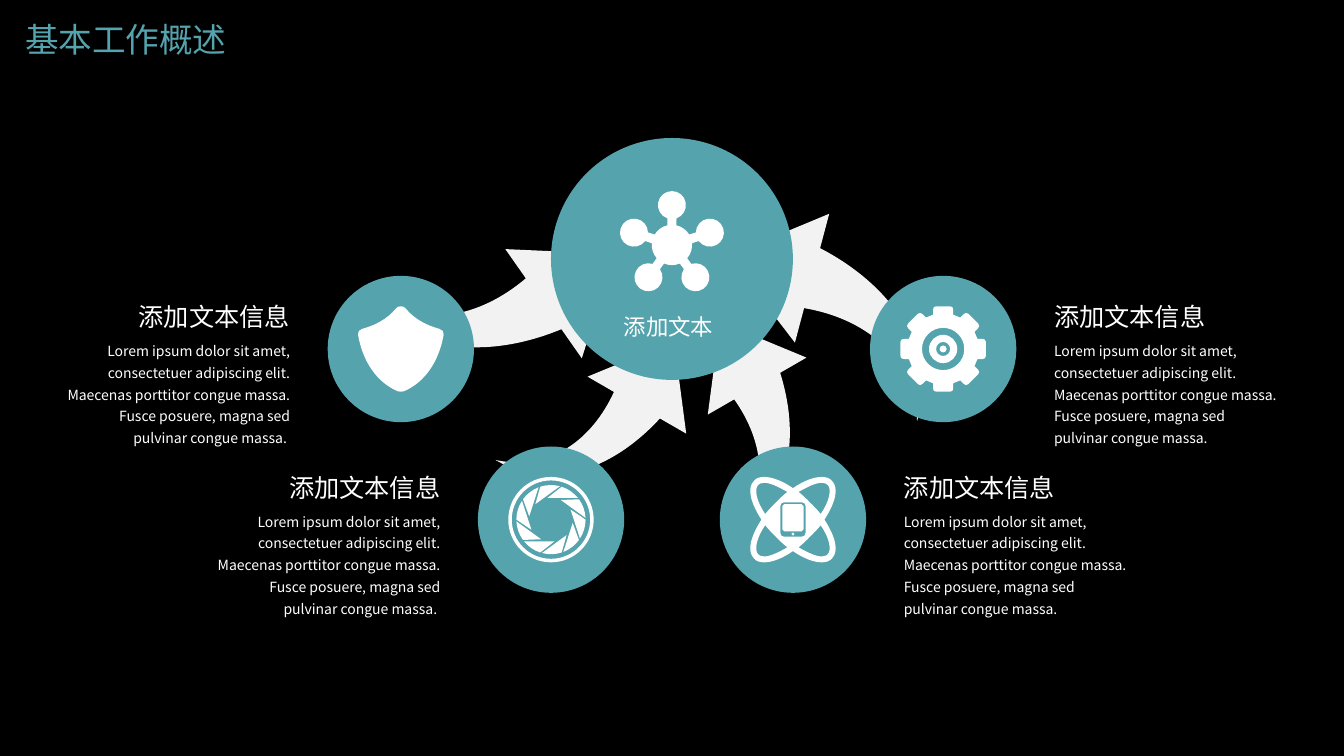
from math import ceil, cos, radians, sin, tan

from lxml import etree
from pptx import Presentation
from pptx.dml.color import RGBColor
from pptx.enum import shapes, text
from pptx.oxml import ns
from pptx.util import Pt

# Content
TITLE = "基本工作概述"
HUB_LABEL = "添加文本"
HEADING = "添加文本信息"
BODY = ("Lorem ipsum dolor sit amet, consectetuer adipiscing elit. Maecenas porttitor "
        "congue massa. Fusce posuere, magna sed pulvinar congue massa.")

FONT = "Noto Sans CJK SC"
BLACK = RGBColor(0x00, 0x00, 0x00)
WHITE = RGBColor(0xFF, 0xFF, 0xFF)
TEAL = RGBColor(0x55, 0xA3, 0xAD)
PALE = RGBColor(0xF2, 0xF2, 0xF2)

# Layout in points
WIDTH, HEIGHT = 960, 540
MIDDLE = WIDTH / 2
HUB_Y, HUB_SIZE, HUB_ICON_Y = 185, 172.8, 175
NODE_SIZE, TEXT_GAP = 104.5, 75.6
UPPER_Y, LOWER_Y = 249.3, 371.2
UPPER_SHIFT, LOWER_SHIFT = 193.7, 86.4
ARROWS = [  # centre x, centre y, scale, rotation
    (364, 214.6, 1.17, 55), (593.6, 218.9, 1.17, 284.9),
    (435.2, 296.3, 1, 30), (536.8, 296.3, 1, 330)]

# Outlines around (0, 0): a start, then points (2 numbers) or curves (6 numbers)
ARROW = [(13.75, -68.8), (-27, -15.8), (-5.2, -15.8), (-1.8, 20.6, -15.5, 56, -54.2, 68.6),
         (-4.8, 68.8, 23, 27.8, 32.7, -15.8), (54.4, -15.8)]
SHIELD_HALF = [(0, -30.5), (1.5, -30.5, 2.8, -30, 3.6, -28.8), (9.4, -21.6, 18, -17, 27.4, -14.4),
               (29.5, -14, 31, -12.2, 30.6, -10.4), (27.4, 8.6, 17.3, 23.8, 2.2, 30.2),
               (1.4, 30.5, 0.7, 30.5, 0, 30.5)]
TOOTH = [(-7.2, -24.5), (-7.2, -28), (-7.2, -29.5, -6.5, -30.5, -5, -30.5), (5, -30.5),
         (6.5, -30.5, 7.2, -29.5, 7.2, -28), (7.2, -24.5)]
ORBIT_QUARTER = [(0, -22.5), (7.2, -27.5, 14.8, -30.5, 20.5, -30.5),
                 (23.4, -30.5, 26.2, -29.8, 27.8, -27.8), (33.2, -22.5, 30.2, -12, 22.5, 0)]
ORBIT_GAP = [(20.5, -26.3), (16.2, -26.3, 10.4, -23.4, 4, -19.8),
             (6.8, -17.6, 9.7, -14.8, 12, -12.4), (14.8, -9.7, 17.6, -6.8, 19.8, -4),
             (26.3, -13.3, 27.7, -22, 24.8, -24.8), (24.1, -25.6, 22.7, -26.3, 20.5, -26.3)]


# Geometry: a contour is a start point, then two controls and an end per segment
def outline(steps):
    points = [steps[0]]
    for step in steps[1:]:
        if len(step) == 2:
            points += [points[-1], step, step]
        else:
            points += [step[:2], step[2:4], step[4:]]
    return points


def join(parts):
    points = list(parts[0])
    for part in parts[1:]:
        if part[0] != points[-1]:
            points += [points[-1], part[0], part[0]]
        points += part[1:]
    return points


def polar(radius, angle, x=0, y=0):
    return x + radius * cos(radians(angle)), y + radius * sin(radians(angle))


def arc(radius, first, last, x=0, y=0):
    count = ceil((last - first) / 90)
    step = (last - first) / count
    reach = radius * 4 / 3 * tan(radians(step / 4))
    points = [polar(radius, first, x, y)]
    for i in range(count):
        angle = first + step * (i + 1)
        end = polar(radius, angle, x, y)
        points += [polar(reach, angle - step + 90, *points[-1]), polar(reach, angle - 90, *end), end]
    return points


def circle(radius, x=0, y=0):
    return arc(radius, 0, 360, x, y)


def turn(points, angle):
    c, s = cos(radians(angle)), sin(radians(angle))
    return [(x * c - y * s, x * s + y * c) for x, y in points]


def mirror(points, across, down):
    return [(x * across, y * down) for x, y in points]


def rounded(left, top, right, bottom, radius):
    corners = [(right, bottom, -1, -1), (left, bottom, 1, -1), (left, top, 1, 1), (right, top, -1, 1)]
    return join([arc(radius, 90 * i, 90 * i + 90, x + dx * radius, y + dy * radius)
                 for i, (x, y, dx, dy) in enumerate(corners)])


# Icons, each a list of closed contours
def molecule():
    parts = []
    for angle in range(-90, 270, 72):
        parts += [arc(14.4, angle - 59, angle - 13),
                  arc(10, angle + 199, angle + 521, *polar(28.5, angle))]
    return [join(parts)]


def shield():
    half = outline(SHIELD_HALF)
    return [join([half, mirror(half, -1, 1)[::-1]])]


def gear():
    tooth = outline(TOOTH)
    rim = join([turn(tooth, 45 * i) for i in range(8)])
    return [rim] + [circle(radius) for radius in (15.1, 10.1, 5, 2.5)]


def aperture():
    blade = join([[polar(15.7, 80.7)], arc(24.7, 108, 141)])
    return [circle(30.5), circle(28)] + [turn(blade, 36 * i) for i in range(10)]


def orbit():
    quarter, gap = outline(ORBIT_QUARTER), outline(ORBIT_GAP)
    flips = [(1, 1), (1, -1), (-1, -1), (-1, 1)]
    rim = join([mirror(quarter, *flip)[::-1 if i % 2 else 1] for i, flip in enumerate(flips)])
    phone = [rounded(-9, -12.4, 9, 12.2, 2.6), rounded(-7.6, -11, 7.6, 8.4, 1.4),
             circle(1.1, 0, 10.3)]
    return [rim] + [mirror(gap, *flip) for flip in flips] + phone


NODES = [  # side, shift from the middle, centre y, icon
    (-1, LOWER_SHIFT, LOWER_Y, aperture), (1, LOWER_SHIFT, LOWER_Y, orbit),
    (-1, UPPER_SHIFT, UPPER_Y, shield), (1, UPPER_SHIFT, UPPER_Y, gear)]

presentation = Presentation()
presentation.slide_width, presentation.slide_height = Pt(WIDTH), Pt(HEIGHT)
slide = presentation.slides.add_slide(presentation.slide_layouts[6])


# Drawing
def paint(shape, color):
    shape.shadow.inherit = False
    shape.fill.solid()
    shape.fill.fore_color.rgb = color
    shape.line.fill.background()
    return shape


def add_preset(kind, x, y, width, height, color):
    box = Pt(x - width / 2), Pt(y - height / 2), Pt(width), Pt(height)
    return paint(slide.shapes.add_shape(kind, *box), color)


def add_contours(contours, x, y, color, scale=1):
    placed = [[(round(100 * (x + scale * px)), round(100 * (y + scale * py))) for px, py in contour]
              for contour in contours]
    builder = slide.shapes.build_freeform(*placed[0][0], scale=Pt(1) / 100)
    for i, contour in enumerate(placed):
        if i:
            builder.move_to(*contour[0])
        builder.add_line_segments(contour[3::3], close=True)
    shape = builder.convert_to_shape()
    # Bend the segments whose controls lie away from their ends
    left, top = (min(p[axis] for contour in placed for p in contour[::3]) for axis in (0, 1))
    segments = [contour[i:i + 4] for contour in placed for i in range(0, len(contour) - 1, 3)]
    for line, (start, first, second, end) in zip(list(shape._element.iter(ns.qn("a:lnTo"))), segments):
        if (first, second) != (start, end):
            curve = etree.Element(ns.qn("a:cubicBezTo"))
            for px, py in (first, second, end):
                etree.SubElement(curve, ns.qn("a:pt"), x=str(px - left), y=str(py - top))
            line.getparent().replace(line, curve)
    return paint(shape, color)


def add_text(content, left, top, width, height, size, align, color=WHITE, spacing=None, inset=3.6):
    frame = slide.shapes.add_textbox(Pt(left), Pt(top), Pt(width), Pt(height)).text_frame
    frame.word_wrap = True
    frame.auto_size = text.MSO_AUTO_SIZE.SHAPE_TO_FIT_TEXT
    frame.margin_left = frame.margin_right = Pt(inset)
    frame.margin_top = frame.margin_bottom = Pt(3.6)
    paragraph = frame.paragraphs[0]
    paragraph.text, paragraph.alignment = content, align
    if spacing:
        paragraph.line_spacing = spacing
    font = paragraph.font
    font.size, font.name, font.color.rgb = Pt(size), FONT, color
    etree.SubElement(paragraph._p.pPr.find(ns.qn("a:defRPr")), ns.qn("a:ea"), typeface=FONT)


# Background and title
OVAL = shapes.MSO_SHAPE.OVAL
LEFT, CENTER, RIGHT = text.PP_ALIGN.LEFT, text.PP_ALIGN.CENTER, text.PP_ALIGN.RIGHT
add_preset(shapes.MSO_SHAPE.RECTANGLE, MIDDLE, HEIGHT / 2, WIDTH, HEIGHT, BLACK)
add_text(TITLE, 10.8, 10.1, 296, 36, 24, LEFT, TEAL, inset=7.2)

# Arrows towards the hub
for x, y, scale, rotation in ARROWS:
    add_contours([outline(ARROW)], x, y, PALE, scale).rotation = rotation

# Nodes with icon, heading and body
for side, shift, y, icon in NODES:
    x = MIDDLE + side * shift
    add_preset(OVAL, x, y, NODE_SIZE, NODE_SIZE, TEAL)
    add_contours(icon(), x, y, WHITE)
    edge = x + side * TEXT_GAP
    align = LEFT if side > 0 else RIGHT
    body = BODY if side > 0 else BODY + " "
    for content, top, width, height, size, spacing in [
            (HEADING, -37.6, 146, 28.8, 18, None), (body, -11.9, 167.8, 85, 10, 1.3)]:
        left = edge if side > 0 else edge - width
        add_text(content, left, y + top, width, height, size, align, spacing=spacing)

# Hub
add_preset(OVAL, MIDDLE, HUB_Y, HUB_SIZE, HUB_SIZE, TEAL)
add_contours(molecule(), MIDDLE, HUB_ICON_Y, WHITE)
add_text(HUB_LABEL, 404.6, 220.3, 146, 26.6, 16, CENTER)

presentation.save("out.pptx")
